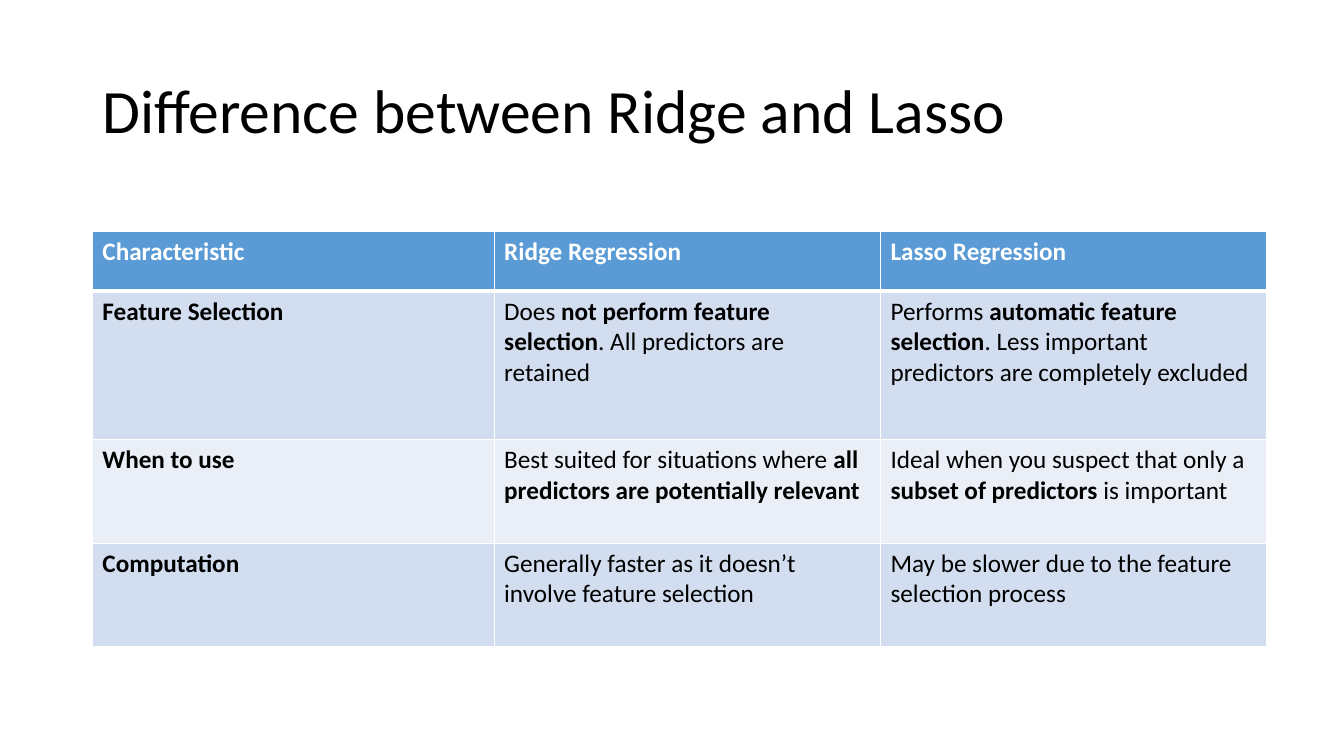
from dataclasses import dataclass

import pptx
import pptx.dml.color
import pptx.enum.text
import pptx.oxml
import pptx.oxml.ns
import pptx.util

Pt = pptx.util.Pt
RGBColor = pptx.dml.color.RGBColor

BLACK = RGBColor(0x00, 0x00, 0x00)
WHITE = RGBColor(0xFF, 0xFF, 0xFF)
HEADER_BLUE = RGBColor(0x5B, 0x9B, 0xD5)
BAND_DARK = RGBColor(0xD2, 0xDE, 0xEF)
BAND_LIGHT = RGBColor(0xEA, 0xEF, 0xF7)

FONT = "Calibri"
COLUMN_WIDTHS = (287, 276, 276)


@dataclass
class Row:
    height: float
    fill: RGBColor
    color: RGBColor
    texts: tuple[str, str, str]


# Text between ** marks is bold.
ROWS = [
    Row(43, HEADER_BLUE, WHITE,
        ("**Characteristic**", "**Ridge Regression**", "**Lasso Regression**")),
    Row(106, BAND_DARK, BLACK,
        ("**Feature Selection**",
         "Does **not perform feature selection**. All predictors are retained",
         "Performs **automatic feature selection**. Less important predictors "
         "are completely excluded")),
    Row(74, BAND_LIGHT, BLACK,
        ("**When to use**",
         "Best suited for situations where **all predictors are potentially relevant**",
         "Ideal when you suspect that only a **subset of predictors** is important")),
    Row(74, BAND_DARK, BLACK,
        ("**Computation**",
         "Generally faster as it doesn’t involve feature selection",
         "May be slower due to the feature selection process")),
]


def add_runs(p, text: str, size: float, color: RGBColor) -> None:
    """Add the text as runs, switching bold at each ** mark."""
    for i, part in enumerate(text.split("**")):
        if not part:
            continue
        r = p.add_run()
        r.text = part
        style = {"name": FONT, "size": Pt(size), "bold": i % 2 == 1}
        for name, value in style.items():
            setattr(r.font, name, value)
        r.font.color.rgb = color


def set_borders(cell, widths: dict[str, float]) -> None:
    """Draw white cell borders; widths are in points by side (L, R, T, B)."""
    tc_pr = cell._tc.get_or_add_tcPr()
    for side, width in widths.items():
        tc_pr.append(pptx.oxml.parse_xml(
            f'<a:ln{side} {pptx.oxml.ns.nsdecls("a")} w="{Pt(width)}">'
            f'<a:solidFill><a:srgbClr val="{WHITE}"/></a:solidFill></a:ln{side}>'))


def add_title(s, text: str) -> None:
    tf = s.shapes.add_textbox(Pt(66), Pt(28.75), Pt(828), Pt(104.4)).text_frame
    tf.word_wrap = True
    tf.vertical_anchor = pptx.enum.text.MSO_ANCHOR.MIDDLE
    p = tf.paragraphs[0]
    p.line_spacing = 0.9
    add_runs(p, text, 44, BLACK)


def add_comparison(s, rows: list[Row]) -> None:
    table = s.shapes.add_table(
        len(rows), len(COLUMN_WIDTHS), Pt(66), Pt(165),
        Pt(sum(COLUMN_WIDTHS)), Pt(sum(row.height for row in rows))).table
    for column, width in zip(table.columns, COLUMN_WIDTHS):
        column.width = Pt(width)
    for i, row in enumerate(rows):
        table.rows[i].height = Pt(row.height)
        for j, text in enumerate(row.texts):
            cell = table.cell(i, j)
            set_borders(cell, {"L": 1, "R": 1, "T": 3 if i == 1 else 1,
                               "B": 3 if i == 0 else 1})
            cell.fill.solid()
            cell.fill.fore_color.rgb = row.fill
            add_runs(cell.text_frame.paragraphs[0], text, 18, row.color)


def main() -> None:
    prs = pptx.Presentation()
    prs.slide_width, prs.slide_height = Pt(960), Pt(540)
    s = prs.slides.add_slide(prs.slide_layouts[6])
    add_title(s, "Difference between Ridge and Lasso")
    add_comparison(s, ROWS)
    prs.save("out.pptx")


if __name__ == "__main__":
    main()
